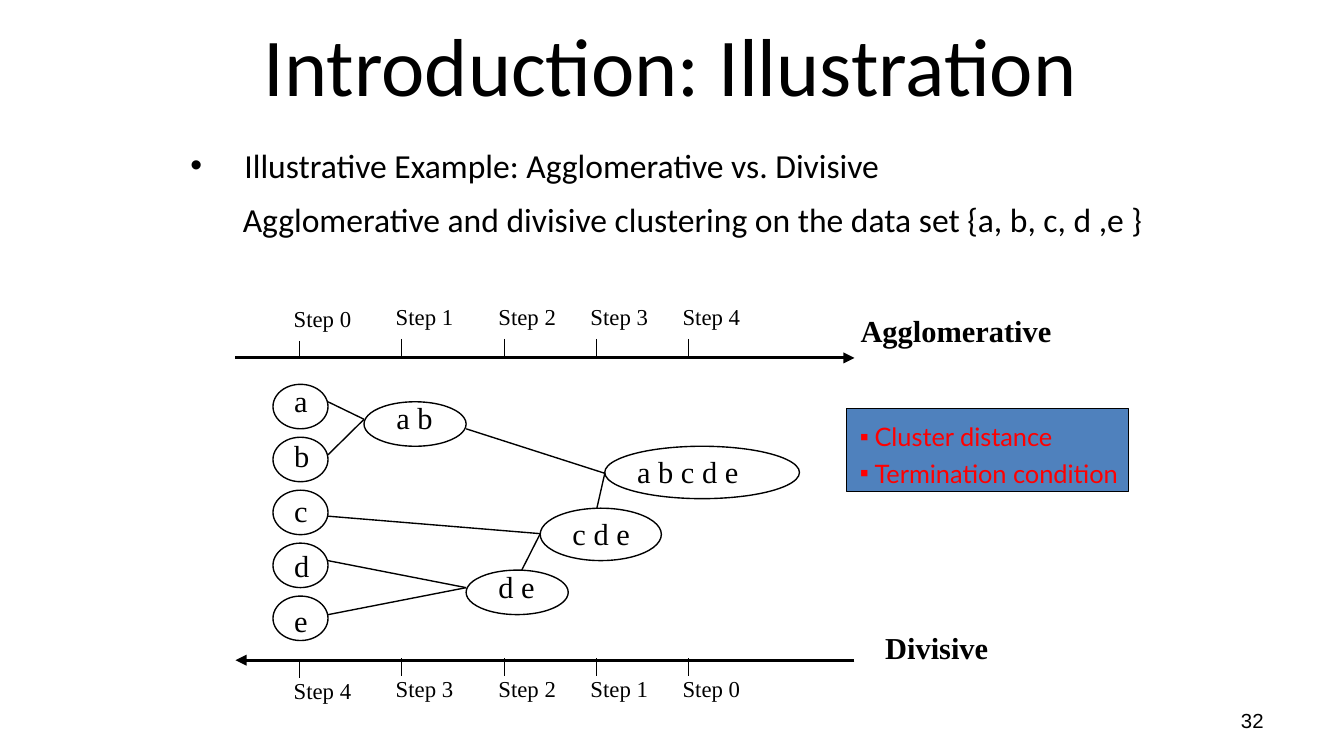
from dataclasses import dataclass

from lxml import etree
from pptx import Presentation
from pptx import util as u
from pptx.dml.color import RGBColor
from pptx.enum import shapes, text
from pptx.oxml.ns import qn

BLACK = RGBColor(0x00, 0x00, 0x00)
RED = RGBColor(0xFF, 0x00, 0x00)
BLUE = RGBColor(0x4F, 0x81, 0xBD)
SERIF = "Times New Roman"
SANS = "Calibri"


@dataclass
class Sketch:
    """Draws the elements of one slide in a shared style."""

    slide: object
    line_color: RGBColor = BLACK
    thin: float = 0.75

    def label(self, left, top, width, height, lines, size, font=SERIF, color=BLACK,
              bold=False, align=text.PP_ALIGN.LEFT, anchor=text.MSO_ANCHOR.TOP,
              wrap=False, spacing=None, before=0, bullets=(), indents=()):
        shape = self.slide.shapes.add_textbox(u.Cm(left), u.Cm(top), u.Cm(width), u.Cm(height))
        frame = shape.text_frame
        frame.word_wrap = wrap
        frame.vertical_anchor = anchor
        frame.text = "\n".join(lines)
        for index, paragraph in enumerate(frame.paragraphs):
            if indents:
                self.indent(paragraph, *indents[index], bullets[index])
            paragraph.alignment = align
            if spacing:
                paragraph.line_spacing = spacing
            if before and index:
                paragraph.space_before = u.Pt(before)
            paragraph.font.name = font
            paragraph.font.size = u.Pt(size)
            paragraph.font.bold = bold
            paragraph.font.color.rgb = color
        return frame

    def indent(self, paragraph, margin, first, bullet):
        properties = paragraph._p.get_or_add_pPr()
        properties.set("marL", str(u.Cm(margin)))
        properties.set("indent", str(u.Cm(first)))
        if bullet:
            etree.SubElement(properties, qn("a:buFont")).set("typeface", "Arial")
            etree.SubElement(properties, qn("a:buChar")).set("char", bullet)
        else:
            etree.SubElement(properties, qn("a:buNone"))

    def outline(self, kind, left, top, width, height, fill=None):
        shape = self.slide.shapes.add_shape(
            kind, u.Cm(left), u.Cm(top), u.Cm(width), u.Cm(height))
        shape.shadow.inherit = False
        if fill is None:
            shape.fill.background()
        else:
            shape.fill.solid()
            shape.fill.fore_color.rgb = fill
        shape.line.color.rgb = self.line_color
        shape.line.width = u.Pt(self.thin)

    def line(self, x1, y1, x2, y2, width=None, arrow=False):
        connector = self.slide.shapes.add_connector(
            shapes.MSO_CONNECTOR.STRAIGHT, u.Cm(x1), u.Cm(y1), u.Cm(x2), u.Cm(y2))
        connector.line.color.rgb = self.line_color
        connector.line.width = u.Pt(width or self.thin)
        if arrow:
            etree.SubElement(connector.line._get_or_add_ln(), qn("a:tailEnd")).set("type", "triangle")
        etree.SubElement(connector._element.spPr, qn("a:effectLst"))

    def node(self, name, left, top, width, height, text_left, text_top, text_width):
        self.label(text_left, text_top, text_width, 0.97, [name], 16.3)
        self.outline(shapes.MSO_SHAPE.OVAL, left, top, width, height)

    def timeline(self, start, end, axis_top, tick_top, label_top, steps):
        self.line(start, axis_top, end, axis_top, 1.5, arrow=True)
        for index, (x, step) in enumerate(zip(STEP_XS, steps)):
            drop = 0 if index else 0.04
            self.line(x, tick_top + drop, x, tick_top + drop + 0.33)
            self.label(x - 0.36, label_top + drop, 1.75, 0.79, [f"Step {step}"], 12.2, wrap=True)


STEP_XS = [5.66, 7.59, 9.53, 11.27, 13.01]
AXIS_LEFT, AXIS_RIGHT = 4.45, 16.15
CLUSTERS = [
    ("a b", 6.88, 7.59, 1.93, 0.84, -0.17, 1.19),
    ("d e", 8.81, 10.77, 1.93, 0.84, -0.17, 1.19),
    ("c d e", 10.21, 9.6, 2.29, 0.99, 0, 1.63),
    ("a b c d e", 11.43, 8.43, 3.68, 0.99, 0, 2.46),
]
MERGES = {
    (6.88, 7.92): [(6.2, 7.59), (6.2, 8.59)],
    (8.81, 11.1): [(6.2, 10.59), (6.2, 11.61)],
    (10.21, 10.08): [(6.2, 9.75), (9.86, 10.77)],
    (11.43, 8.94): [(8.81, 8.1), (11.28, 9.6)],
}


def main():
    presentation = Presentation()
    presentation.slide_width = u.Cm(25.4)
    presentation.slide_height = u.Cm(14.28)
    sketch = Sketch(presentation.slides.add_slide(presentation.slide_layouts[6]))
    center, middle = text.PP_ALIGN.CENTER, text.MSO_ANCHOR.MIDDLE

    sketch.label(18.21, 13.23, 5.92, 0.76, ["32"], 10.9, "Arial",
                 align=text.PP_ALIGN.RIGHT, anchor=middle, wrap=True)
    title = sketch.label(4.19, 0, 19.46, 2.39, ["Introduction: Illustration"], 44, SANS,
                         align=center, anchor=middle, wrap=True)
    title.margin_right = u.Cm(2.74)
    sketch.label(3.35, 2.54, 18.87, 10.8,
                 ["Illustrative Example: Agglomerative vs. Divisive",
                  "Agglomerative and divisive clustering on the data set {a, b, c, d ,e }"],
                 18, SANS, wrap=True, spacing=1.1, before=5,
                 bullets=["•", None], indents=[(1.02, -1.02), (1.85, -0.86)])

    sketch.outline(shapes.MSO_SHAPE.RECTANGLE, 16, 7.72, 5.33, 1.57, BLUE)
    sketch.label(16, 7.72, 5.49, 1.65, ["Cluster distance", "Termination condition"],
                 13.6, "Lato", RED, spacing=1.2, bullets="▪▪", indents=[(0.28, -0.28)] * 2)

    sketch.timeline(AXIS_LEFT, AXIS_RIGHT, 6.76, 6.4, 5.59, range(5))
    sketch.timeline(AXIS_RIGHT, AXIS_LEFT, 12.47, 12.43, 12.62, reversed(range(5)))
    for index, name in enumerate("abcde"):
        sketch.node(name, 5.16, 7.26 + index, 1.04, 0.84, 5.31, 7.09 + 1.04 * index, 0.78)
    for name, left, top, width, height, rise, text_width in CLUSTERS:
        sketch.node(name, left, top, width, height, left + 0.36, top + rise, text_width)
    for target, sources in MERGES.items():
        for source in sources:
            sketch.line(*source, *target)

    sketch.label(16, 5.77, 4.14, 0.97, ["Agglomerative"], 16.3, bold=True, align=center)
    sketch.label(16.46, 11.76, 2.49, 0.97, ["Divisive"], 16.3, bold=True, align=center)
    presentation.save("out.pptx")


if __name__ == "__main__":
    main()
